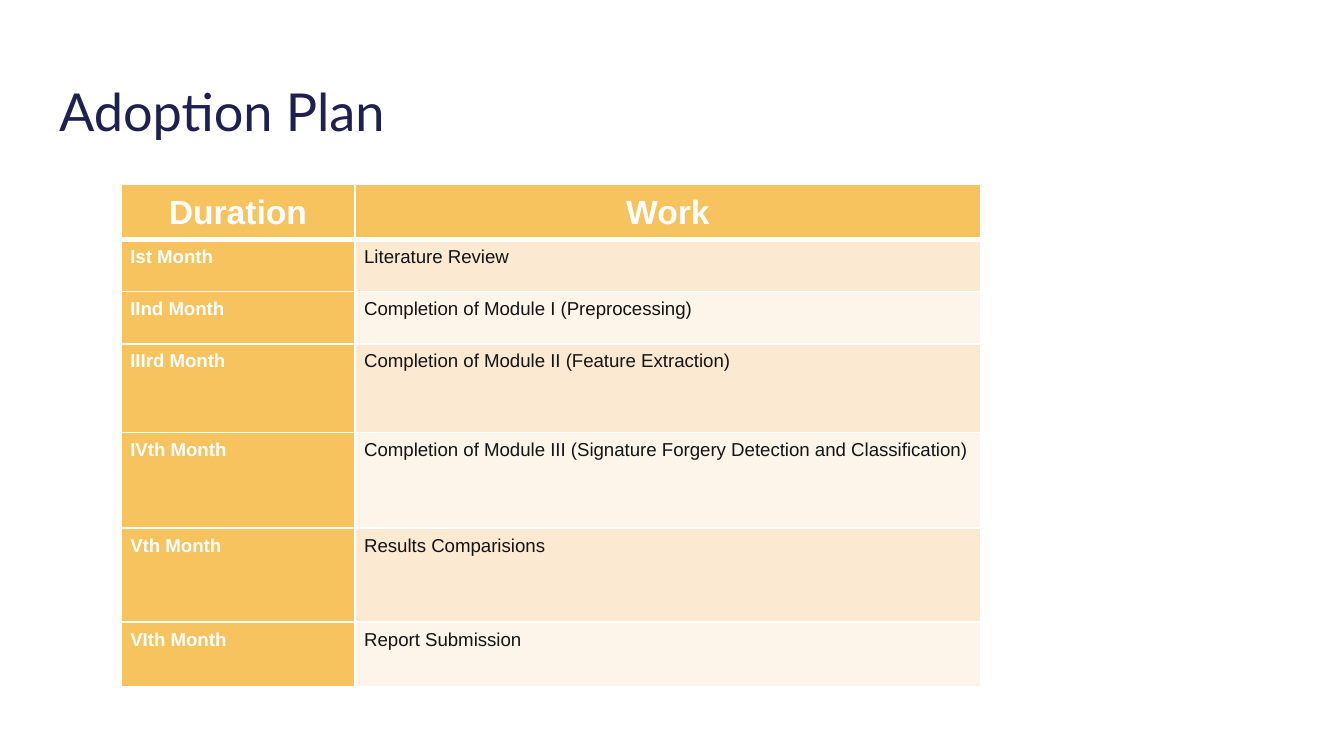
from pptx import Presentation
from pptx.dml.color import RGBColor
from pptx.enum.text import MSO_ANCHOR, PP_ALIGN
from pptx.oxml.ns import qn
from pptx.util import Inches, Pt
from lxml.etree import SubElement

WHITE, NAVY, INK = "FFFFFF", "1F1F50", "141414"
AMBER, PEACH, CREAM = "F7C35E", "FCE9D2", "FDF5EA"
COLUMN_WIDTHS = [1.74, 4.66]
ROW_HEIGHTS = [0.41, 0.39, 0.39, 0.66, 0.71, 0.7, 0.48]
PLAN = [
    ("Duration", "Work"),
    ("Ist Month", "Literature Review"),
    ("IInd Month", "Completion of Module I (Preprocessing)"),
    ("IIIrd Month", "Completion of Module II (Feature Extraction)"),
    ("IVth Month", "Completion of Module III (Signature Forgery Detection and Classification)"),
    ("Vth Month", "Results Comparisions"),
    ("VIth Month", "Report Submission"),
]


def rgb(hex_color):
    return RGBColor.from_string(hex_color)


def style_font(paragraph, name, size, color, bold=False):
    for run in paragraph.runs:
        font = run.font
        font.name, font.size, font.bold = name, Pt(size), bold
        font.color.rgb = rgb(color)


def set_margins(holder, horizontal, vertical):
    holder.margin_left = holder.margin_right = Inches(horizontal)
    holder.margin_top = holder.margin_bottom = Inches(vertical)


def add_title(slide, text):
    title = slide.shapes.title
    title.left, title.top = Inches(0.34), Inches(0.49)
    title.width, title.height = Inches(9.32), Inches(0.63)
    frame = title.text_frame
    frame.text = text
    frame.vertical_anchor = MSO_ANCHOR.TOP
    set_margins(frame, 0.1, 0.1)
    heading = frame.paragraphs[0]
    heading.alignment = PP_ALIGN.LEFT
    heading.line_spacing = 1
    heading.space_before = Pt(0)
    style_font(heading, "Lato", 28, NAVY)


def set_borders(cell, top, bottom):
    """Draw white borders, with the top and bottom widths in points."""
    properties = cell._tc.get_or_add_tcPr()
    for side, width in (("L", 1), ("R", 1), ("T", top), ("B", bottom)):
        line = SubElement(properties, qn(f"a:ln{side}"), w=str(Pt(width)))
        fill = SubElement(line, qn("a:solidFill"))
        SubElement(fill, qn("a:srgbClr"), val=WHITE)


def format_cell(cell, text, row, column):
    is_header = row == 0
    is_label = is_header or column == 0
    set_borders(cell, top=3 if row == 1 else 1, bottom=3 if is_header else 1)
    cell.fill.solid()
    band = PEACH if row % 2 else CREAM
    cell.fill.fore_color.rgb = rgb(AMBER if is_label else band)
    set_margins(cell, 0.07, 0.03)
    cell.text_frame.text = text
    paragraph = cell.text_frame.paragraphs[0]
    paragraph.alignment = PP_ALIGN.CENTER if is_header else PP_ALIGN.LEFT
    paragraph.line_spacing = 1.15
    paragraph.space_before = Pt(6.2 if is_header else 3.4)
    style_font(paragraph, "Arial", 18 if is_header else 10,
               WHITE if is_label else INK, bold=is_label)


def add_plan_table(slide):
    table = slide.shapes.add_table(
        len(PLAN), len(COLUMN_WIDTHS), Inches(0.9), Inches(1.37),
        Inches(sum(COLUMN_WIDTHS)), Inches(sum(ROW_HEIGHTS))).table
    for column, width in zip(table.columns, COLUMN_WIDTHS):
        column.width = Inches(width)
    for row, height in zip(table.rows, ROW_HEIGHTS):
        row.height = Inches(height)
    for row, texts in enumerate(PLAN):
        for column, text in enumerate(texts):
            format_cell(table.cell(row, column), text, row, column)


def main():
    deck = Presentation()
    deck.slide_width = Inches(10)
    deck.slide_height = deck.slide_width * 9 // 16
    slide = deck.slides.add_slide(deck.slide_layouts[5])
    add_title(slide, "Adoption Plan")
    add_plan_table(slide)
    deck.save("out.pptx")


if __name__ == "__main__":
    main()
